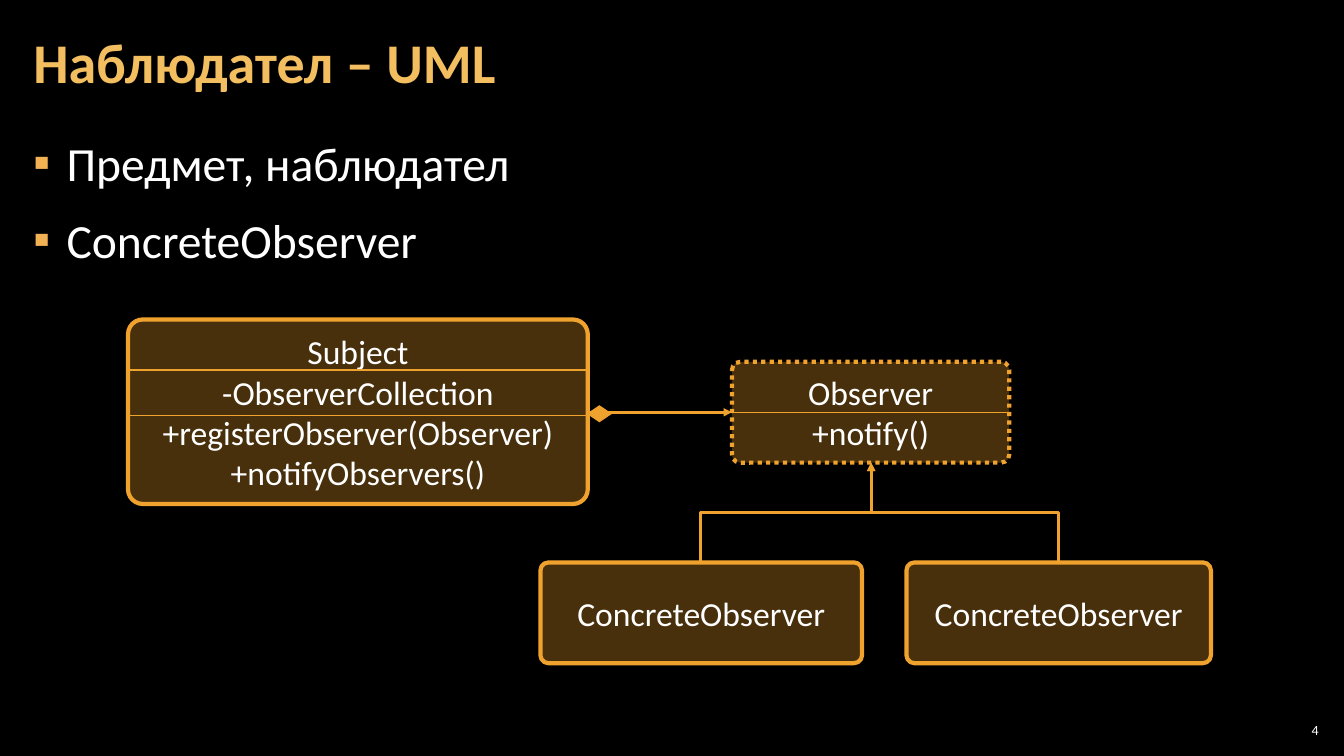
import pptx
import pptx.dml.color
import pptx.enum.dml
import pptx.enum.shapes
import pptx.enum.text
import pptx.oxml.ns
import pptx.util
from lxml import etree
from pptx.util import Inches

BLACK = pptx.dml.color.RGBColor(0x00, 0x00, 0x00)
WHITE = pptx.dml.color.RGBColor(0xFF, 0xFF, 0xFF)
ORANGE = pptx.dml.color.RGBColor(0xF0, 0xA2, 0x2E)
TITLE_GOLD = pptx.dml.color.RGBColor(0xF3, 0xBE, 0x60)
BULLET_GOLD = pptx.dml.color.RGBColor(0xF2, 0xB2, 0x54)
FONT_NAME = "Calibri"
ALIGN = pptx.enum.text.PP_ALIGN
ANCHOR = pptx.enum.text.MSO_ANCHOR
SHAPE = pptx.enum.shapes.MSO_SHAPE
CONNECTOR = pptx.enum.shapes.MSO_CONNECTOR


def add_xml(parent, tag, **attributes):
    return etree.SubElement(parent, pptx.oxml.ns.qn(tag), attributes)


def place(shape, left, top, width, height):
    shape.left, shape.top = Inches(left), Inches(top)
    shape.width, shape.height = Inches(width), Inches(height)


def fill_text(shape, lines, size, color, alignment, anchor, bold=False):
    frame = shape.text_frame
    frame.text = "\n".join(lines)
    frame.word_wrap = True
    frame.auto_size = pptx.enum.text.MSO_AUTO_SIZE.NONE
    frame.vertical_anchor = anchor
    for paragraph in frame.paragraphs:
        paragraph.alignment = alignment
        for run in paragraph.runs:
            run.font.name = FONT_NAME
            run.font.size = pptx.util.Pt(size)
            run.font.bold = bold
            run.font.color.rgb = color


def set_insets(shape, side, end):
    frame = shape.text_frame
    frame.margin_left = frame.margin_right = Inches(side)
    frame.margin_top = frame.margin_bottom = Inches(end)


def add_title(slide, text):
    title = slide.shapes.title
    place(title, 0.21, 0.04, 12.91, 1.21)
    fill_text(title, [text], 40, TITLE_GOLD, ALIGN.LEFT, ANCHOR.MIDDLE, bold=True)
    set_insets(title, 0.12, 0.04)
    title.text_frame.paragraphs[0].line_spacing = 0.9


def add_bullets(slide, lines):
    body = slide.placeholders[1]
    place(body, 0.21, 1.26, 12.91, 6.09)
    fill_text(body, lines, 34, WHITE, ALIGN.LEFT, ANCHOR.TOP)
    set_insets(body, 0.12, 0.04)
    for index, paragraph in enumerate(body.text_frame.paragraphs):
        paragraph.line_spacing = 1.05
        paragraph.space_before = pptx.util.Pt(6 if index else 0)
        paragraph.space_after = pptx.util.Pt(6)
        properties = paragraph._p.get_or_add_pPr()
        properties.set("marL", str(Inches(0.33)))
        properties.set("indent", str(-Inches(0.33)))
        bullet_color = add_xml(properties, "a:buClr")
        add_xml(bullet_color, "a:srgbClr", val=str(BULLET_GOLD))
        add_xml(properties, "a:buFont", typeface="Wingdings")
        add_xml(properties, "a:buChar", char="▪")
        properties.find(pptx.oxml.ns.qn("a:buFont")).set("typeface", FONT_NAME)


def add_class_box(slide, left, top, width, height, lines, dotted=False):
    box = slide.shapes.add_shape(
        SHAPE.ROUNDED_RECTANGLE, Inches(left), Inches(top), Inches(width), Inches(height)
    )
    box.shadow.inherit = False
    box.adjustments[0] = 0.08
    box.fill.solid()
    box.fill.fore_color.rgb = ORANGE
    color = box._element.spPr.find(".//" + pptx.oxml.ns.qn("a:srgbClr"))
    add_xml(color, "a:alpha", val="30000")
    box.line.color.rgb = ORANGE
    box.line.width = pptx.util.Pt(3)
    if dotted:
        box.line.dash_style = pptx.enum.dml.MSO_LINE.ROUND_DOT
    fill_text(box, lines, 24, WHITE, ALIGN.CENTER, ANCHOR.MIDDLE)


def add_line(slide, start, end, width, kind=CONNECTOR.STRAIGHT, arrow=False):
    points = [Inches(value) for value in (*start, *end)]
    connector = slide.shapes.add_connector(kind, *points)
    connector.line.color.rgb = ORANGE
    connector.line.width = pptx.util.Pt(width)
    if arrow:
        add_xml(connector.line._get_or_add_ln(), "a:tailEnd", type="triangle")
    add_xml(connector._element.spPr, "a:effectLst")
    return connector


def add_inheritance(slide, start, end):
    across, down = end[0] - start[0], end[1] - start[1]
    turn = 1 if across > 0 else -1
    middle_x, middle_y = (start[0] + end[0]) / 2, (start[1] + end[1]) / 2
    half_x, half_y = turn * down / 2, -turn * across / 2
    connector = add_line(
        slide,
        (middle_x - half_x, middle_y - half_y),
        (middle_x + half_x, middle_y + half_y),
        2,
        CONNECTOR.ELBOW,
        arrow=True,
    )
    transform = connector._element.spPr.find(pptx.oxml.ns.qn("a:xfrm"))
    transform.set("rot", str(turn * 90 % 360 * 60000))


def add_diamond(slide):
    diamond = slide.shapes.add_shape(
        SHAPE.FLOWCHART_DECISION, Inches(5.82), Inches(4.02), Inches(0.25), Inches(0.17)
    )
    diamond.shadow.inherit = False
    diamond.fill.solid()
    diamond.fill.fore_color.rgb = ORANGE
    diamond.line.fill.background()


def add_slide_number(slide, number):
    box = slide.shapes.add_textbox(Inches(12.65), Inches(7.14), Inches(0.47), Inches(0.21))
    fill_text(box, [number], 10, WHITE, ALIGN.RIGHT, ANCHOR.MIDDLE)
    set_insets(box, 0.04, 0.04)


def main():
    presentation = pptx.Presentation()
    presentation.slide_width = Inches(13.33)
    presentation.slide_height = Inches(7.5)
    slide = presentation.slides.add_slide(presentation.slide_layouts[1])
    slide.background.fill.solid()
    slide.background.fill.fore_color.rgb = BLACK

    add_title(slide, "Наблюдател – UML")
    add_bullets(slide, ["Предмет, наблюдател", "ConcreteObserver"])

    add_line(slide, (7.26, 4.09), (10.01, 4.09), 1)
    for child_center in (6.95, 10.5):
        add_inheritance(slide, (child_center, 5.58), (8.64, 4.59))
    add_line(slide, (5.83, 4.09), (7.26, 4.09), 2, arrow=True)

    add_class_box(slide, 7.26, 3.59, 2.75, 1, ["Observer", "+notify()"], dotted=True)
    for left, width in ((5.36, 3.19), (8.99, 3.02)):
        add_class_box(slide, left, 5.58, width, 1, ["ConcreteObserver"])
    subject_lines = [
        "Subject",
        "-ObserverCollection",
        "+registerObserver(Observer)",
        "+notifyObservers()",
    ]
    add_class_box(slide, 1.27, 3.17, 4.56, 1.83, subject_lines)
    add_diamond(slide)
    for divider_y in (3.67, 4.12):
        add_line(slide, (1.27, divider_y), (5.83, divider_y), 1)
    add_slide_number(slide, "4")

    presentation.save("out.pptx")


if __name__ == "__main__":
    main()
